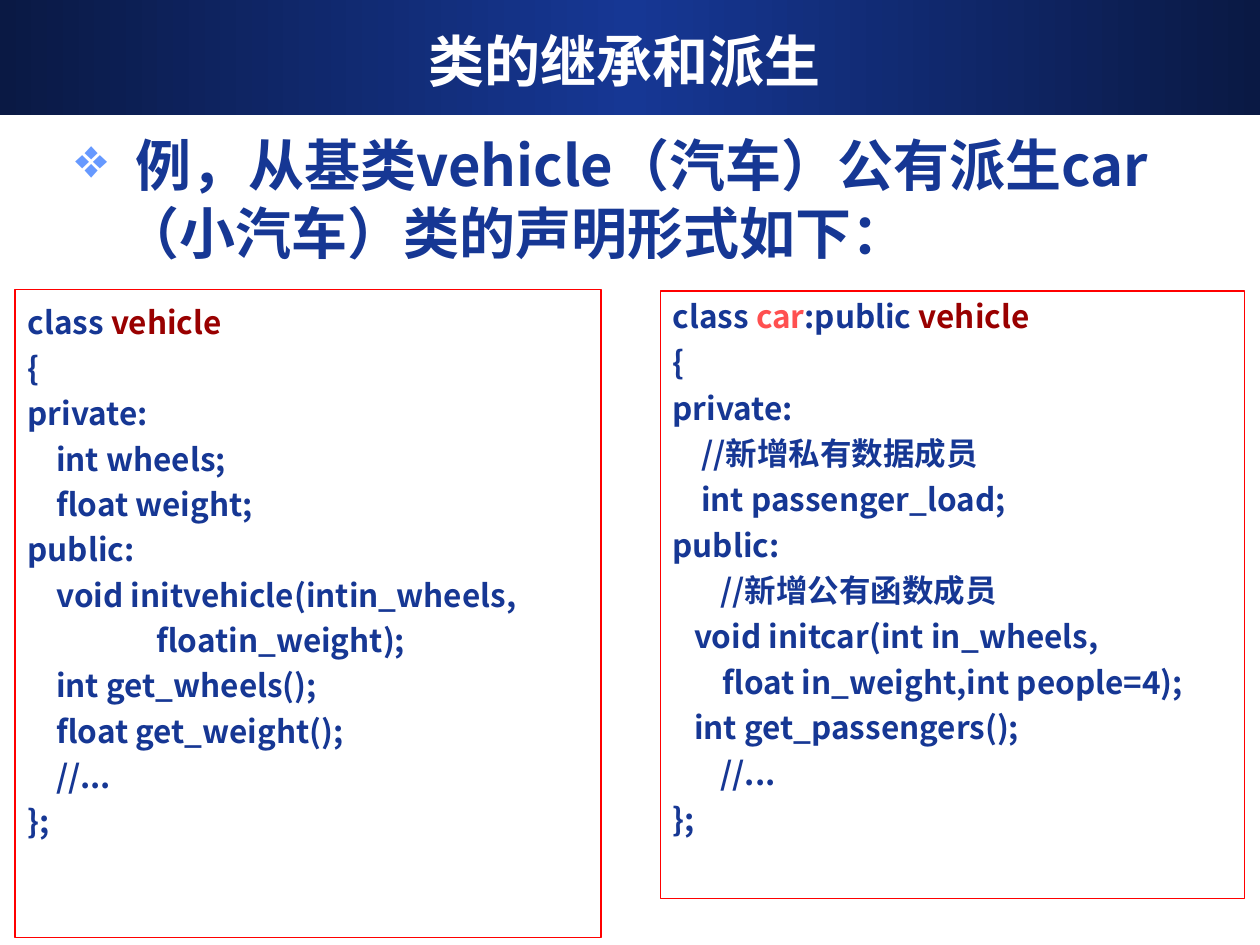
"""Build the slide on class inheritance and derivation, with two code panels."""
from lxml import etree
from pptx import Presentation, util as u
from pptx.dml.color import RGBColor
from pptx.enum import shapes, text
from pptx.oxml import ns

COLORS = {"navy": "163794", "night": "0A1944", "white": "FFFFFF", "red": "FF0000",
          "maroon": "990000", "coral": "FF5050", "bullet": "6699FF"}
CJK = "Noto Sans CJK SC"


def add_span(para, words, size, color="navy", font=CJK):
    span = para.add_run()
    span.text = words
    span.font.size, span.font.bold, span.font.name = u.Pt(size), True, font
    span.font.color.rgb = RGBColor.from_string(COLORS[color])
    etree.SubElement(span.font._element, ns.qn("a:ea"), typeface=font)


def set_hanging(para):
    props = para._p.get_or_add_pPr()
    props.set("marL", str(u.Inches(0.38)))
    props.set("indent", str(u.Inches(-0.38)))
    return props


deck = Presentation()
deck.slide_width, deck.slide_height = u.Inches(10), u.Inches(7.5)
page = deck.slides.add_slide(deck.slide_layouts[6])

banner = page.shapes.add_shape(shapes.MSO_SHAPE.RECTANGLE, 0, 0, u.Inches(10), u.Inches(0.91))
banner.shadow.inherit = False
banner.line.fill.background()
banner.fill.gradient()
banner.fill.gradient_angle = 0
stops = banner.fill._fill._gradFill.find(ns.qn("a:gsLst"))
for stop in list(stops):
    stops.remove(stop)
for position, color in ((0, "night"), (50000, "navy"), (100000, "night")):
    stop = etree.SubElement(stops, ns.qn("a:gs"), pos=str(position))
    etree.SubElement(stop, ns.qn("a:srgbClr"), val=COLORS[color])

title = page.shapes.add_textbox(u.Inches(0.33), u.Inches(0.17), u.Inches(9.25), u.Inches(0.62))
title.text_frame.word_wrap = True
title.text_frame.vertical_anchor = text.MSO_ANCHOR.MIDDLE
para = title.text_frame.paragraphs[0]
para.alignment = text.PP_ALIGN.CENTER
add_span(para, "类的继承和派生", 32, "white", "DejaVu Sans")

intro = page.shapes.add_textbox(u.Inches(0.5), u.Inches(0.99), u.Inches(9), u.Inches(5.74))
intro.text_frame.word_wrap = True
para = intro.text_frame.paragraphs[0]
props = set_hanging(para)
bullet_color = etree.SubElement(props, ns.qn("a:buClr"))
etree.SubElement(bullet_color, ns.qn("a:srgbClr"), val=COLORS["bullet"])
etree.SubElement(props, ns.qn("a:buChar"), char="❖")
add_span(para, " 例，从基类vehicle（汽车）公有派生car（小汽车）类的声明形式如下：", 32)

vehicle_code = [
    [("class ", "navy"), ("vehicle", "maroon")],
    "{",
    "private:",
    "    int wheels;",
    "    float weight;",
    "public:",
    "    void initvehicle(intin_wheels,",
    "                  floatin_weight);",
    "    int get_wheels();",
    "    float get_weight();",
    "    //...",
    "};",
]
car_code = [
    [("class ", "navy"), ("car", "coral"), (":public", "navy"), (" vehicle", "maroon")],
    "{",
    "private:",
    "    //新增私有数据成员",
    "    int passenger_load;",
    "public:",
    "\t//新增公有函数成员",
    "   void initcar(int in_wheels,",
    "       float in_weight,int people=4);",
    "   int get_passengers();",
    "\t//...",
    "};",
]
panels = [((0.12, 2.3, 4.65, 5.14), vehicle_code, False),
          ((5.24, 2.31, 4.64, 4.82), car_code, True)]
for place, code, hanging in panels:
    panel = page.shapes.add_shape(shapes.MSO_SHAPE.RECTANGLE, *map(u.Inches, place))
    panel.shadow.inherit = False
    panel.fill.background()
    panel.line.color.rgb = RGBColor.from_string(COLORS["red"])
    panel.line.width = u.Pt(0.75)
    frame = panel.text_frame
    frame.word_wrap = True
    frame.vertical_anchor = text.MSO_ANCHOR.TOP
    for number, line in enumerate(code):
        para = frame.add_paragraph() if number else frame.paragraphs[0]
        para.alignment = text.PP_ALIGN.JUSTIFY
        if hanging:
            set_hanging(para)
            para.space_before = u.Pt(4.5 if number else 0)
        else:
            para.line_spacing = 1.2
        for words, color in [(line, "navy")] if isinstance(line, str) else line:
            add_span(para, words, 18, color)

deck.save("out.pptx")
